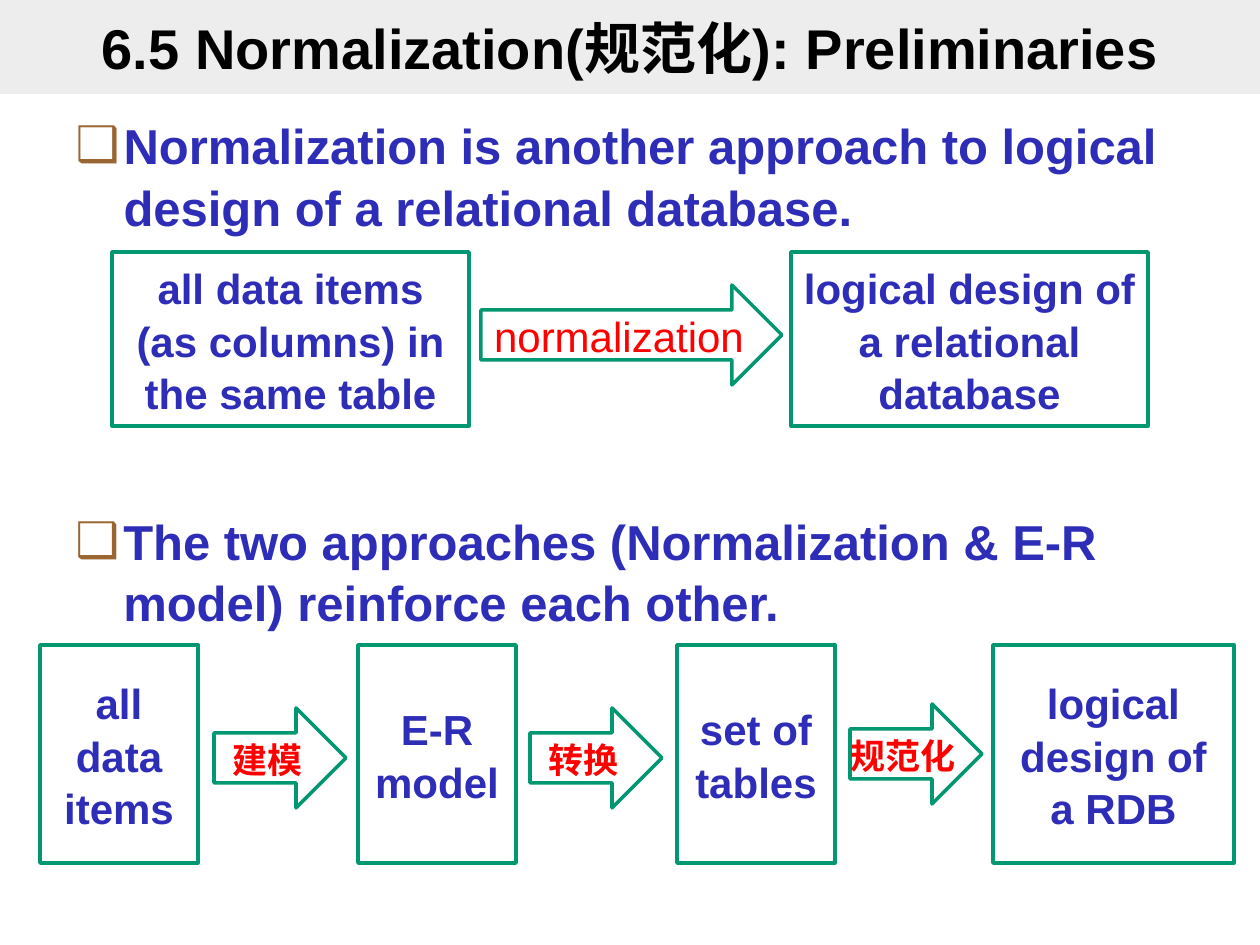
from lxml import etree
from pptx import Presentation
from pptx import util as u
from pptx.dml.color import RGBColor
from pptx.enum import shapes, text
from pptx.oxml.ns import qn

PX_PER_INCH = 126
COLORS = {
    "band": "DDDDDD",
    "title": "000000",
    "text": "2D2DB7",
    "bullet": "996633",
    "outline": "009771",
    "label": "FF0000",
}
FONT = "Arial"


def px(length):
    return u.Emu(round(length * u.Inches(1) / PX_PER_INCH))


def color(name):
    return RGBColor.from_string(COLORS[name])


class SlideBuilder:
    """Holds the slide and the style shared by its elements."""

    line_spacing = 1.05

    def __init__(self, slide):
        self.slide = slide

    def place(self, shape, left, top, width, height):
        shape.left, shape.top = px(left), px(top)
        shape.width, shape.height = px(width), px(height)

    def add_words(self, paragraph, words, size, tint, bold=True):
        run = paragraph.add_run()
        run.text = words
        run.font.name = FONT
        run.font.size = u.Pt(size)
        run.font.bold = bold
        run.font.color.rgb = color(tint)

    def title(self, words, *bounds):
        shape = self.slide.shapes.title
        self.place(shape, *bounds)
        shape.fill.solid()
        shape.fill.fore_color.rgb = color("band")
        fill_color = shape.element.spPr.find(".//" + qn("a:srgbClr"))
        etree.SubElement(fill_color, qn("a:alpha"), val="50000")
        frame = shape.text_frame
        frame.auto_size = text.MSO_AUTO_SIZE.NONE
        frame.vertical_anchor = text.MSO_ANCHOR.MIDDLE
        frame.paragraphs[0].alignment = text.PP_ALIGN.CENTER
        self.add_words(frame.paragraphs[0], words, 32, "title")

    def bullet(self, shape, words, *bounds):
        self.place(shape, *bounds)
        frame = shape.text_frame
        frame.word_wrap = True
        frame.auto_size = text.MSO_AUTO_SIZE.SHAPE_TO_FIT_TEXT
        paragraph = frame.paragraphs[0]
        properties = paragraph._p.get_or_add_pPr()
        properties.set("marL", str(px(48)))
        properties.set("indent", str(-px(48)))
        bullet_color = etree.SubElement(properties, qn("a:buClr"))
        etree.SubElement(bullet_color, qn("a:srgbClr"), val=COLORS["bullet"])
        etree.SubElement(properties, qn("a:buFont"), typeface=FONT)
        etree.SubElement(properties, qn("a:buChar"), char="❑")
        paragraph.space_before = u.Pt(0)
        paragraph.line_spacing = self.line_spacing
        self.add_words(paragraph, words, 28, "text")

    def outlined(self, parent, kind, lines, bounds, size, tint, bold=True):
        shape = parent.shapes.add_shape(kind, *map(px, bounds))
        shape.shadow.inherit = False
        shape.fill.background()
        shape.line.color.rgb = color("outline")
        shape.line.width = u.Pt(2)
        frame = shape.text_frame
        frame.word_wrap = True
        frame.vertical_anchor = text.MSO_ANCHOR.MIDDLE
        for index, words in enumerate(lines):
            paragraph = frame.add_paragraph() if index else frame.paragraphs[0]
            paragraph.alignment = text.PP_ALIGN.CENTER
            paragraph.line_spacing = self.line_spacing
            self.add_words(paragraph, words, size, tint, bold)
        return shape

    def box(self, parent, lines, *bounds):
        return self.outlined(parent, shapes.MSO_SHAPE.RECTANGLE, lines, bounds, 24, "text")

    def arrow(self, parent, label, *bounds, size=20, bold=True):
        return self.outlined(parent, shapes.MSO_SHAPE.RIGHT_ARROW, [label], bounds,
                             size, "label", bold)


def main():
    presentation = Presentation()
    presentation.slide_width, presentation.slide_height = px(1260), px(945)
    slide = presentation.slides.add_slide(presentation.slide_layouts[1])
    builder = SlideBuilder(slide)

    # Title band and first statement
    builder.title("6.5 Normalization(规范化): Preliminaries", 0, 0, 1260, 94)
    builder.bullet(slide.placeholders[1],
                   "Normalization is another approach to logical design of a relational database.",
                   63, 106, 1134, 131)

    # Direct route: one table to logical design
    for left, words in ((112, "all data items (as columns) in the same table"),
                        (791, "logical design of a relational database")):
        builder.box(slide, [words], left, 252, 357, 174)
    builder.arrow(slide, "normalization", 481, 285, 301, 100, size=24, bold=False)

    # Combined route: modelling, conversion, normalization
    route = slide.shapes.add_group_shape()
    for left, width, lines in ((40, 158, ["all data items"]),
                               (358, 158, ["E-R", "model"]),
                               (677, 158, ["set of tables"]),
                               (993, 241, ["logical design of a RDB"])):
        builder.box(route, lines, left, 645, width, 218)
    for left, top, label in ((214, 708, "建模"), (530, 708, "转换"), (850, 704, "规范化")):
        arrow = builder.arrow(route, label, left, top, 132, 100)
    # The longest label needs the full width of its arrow
    arrow.text_frame.margin_left = arrow.text_frame.margin_right = 0

    # Second statement
    builder.bullet(slide.shapes.add_textbox(0, 0, 0, 0),
                   "The two approaches (Normalization & E-R model) reinforce each other.",
                   63, 502, 1134, 131)

    presentation.save("out.pptx")


if __name__ == "__main__":
    main()
